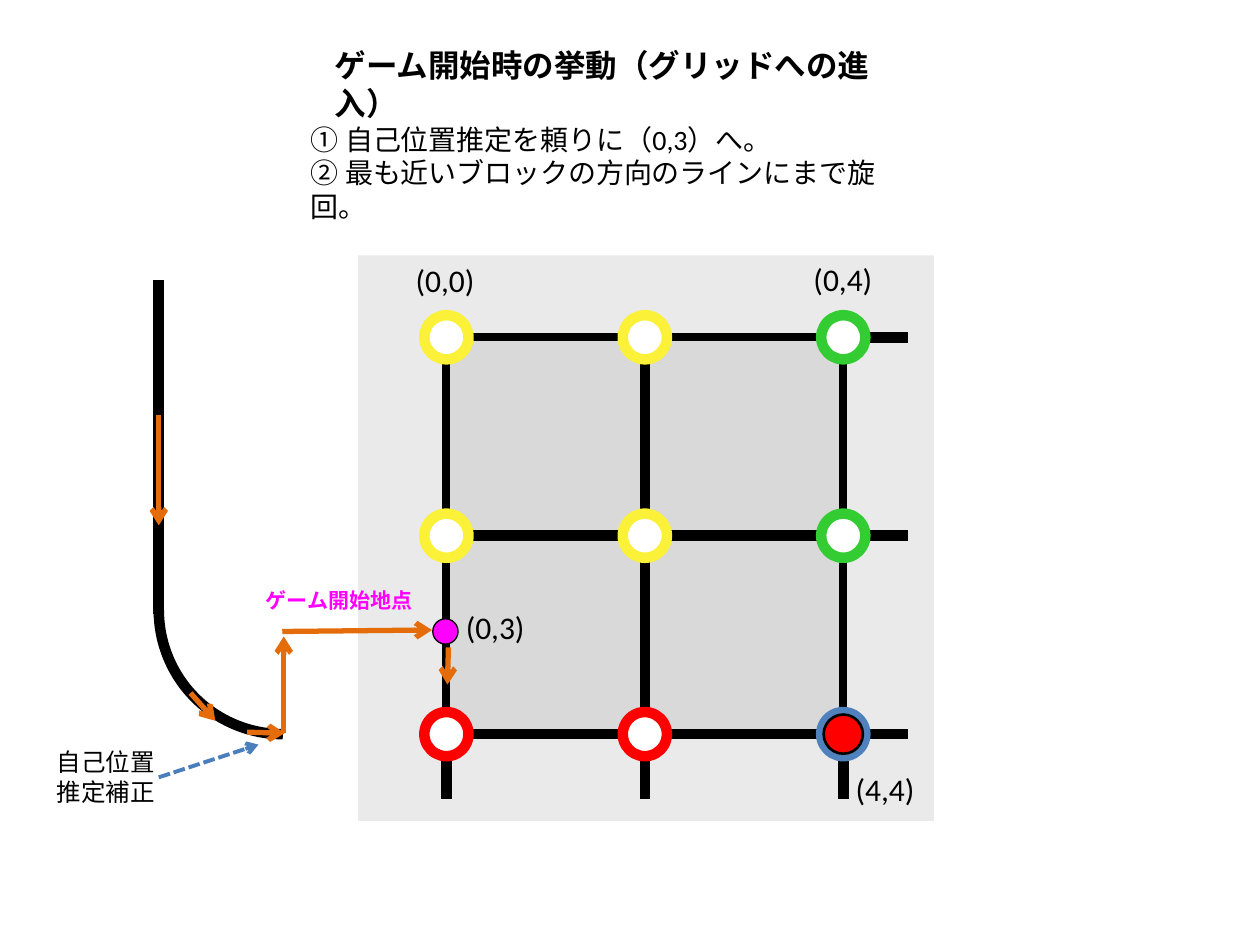
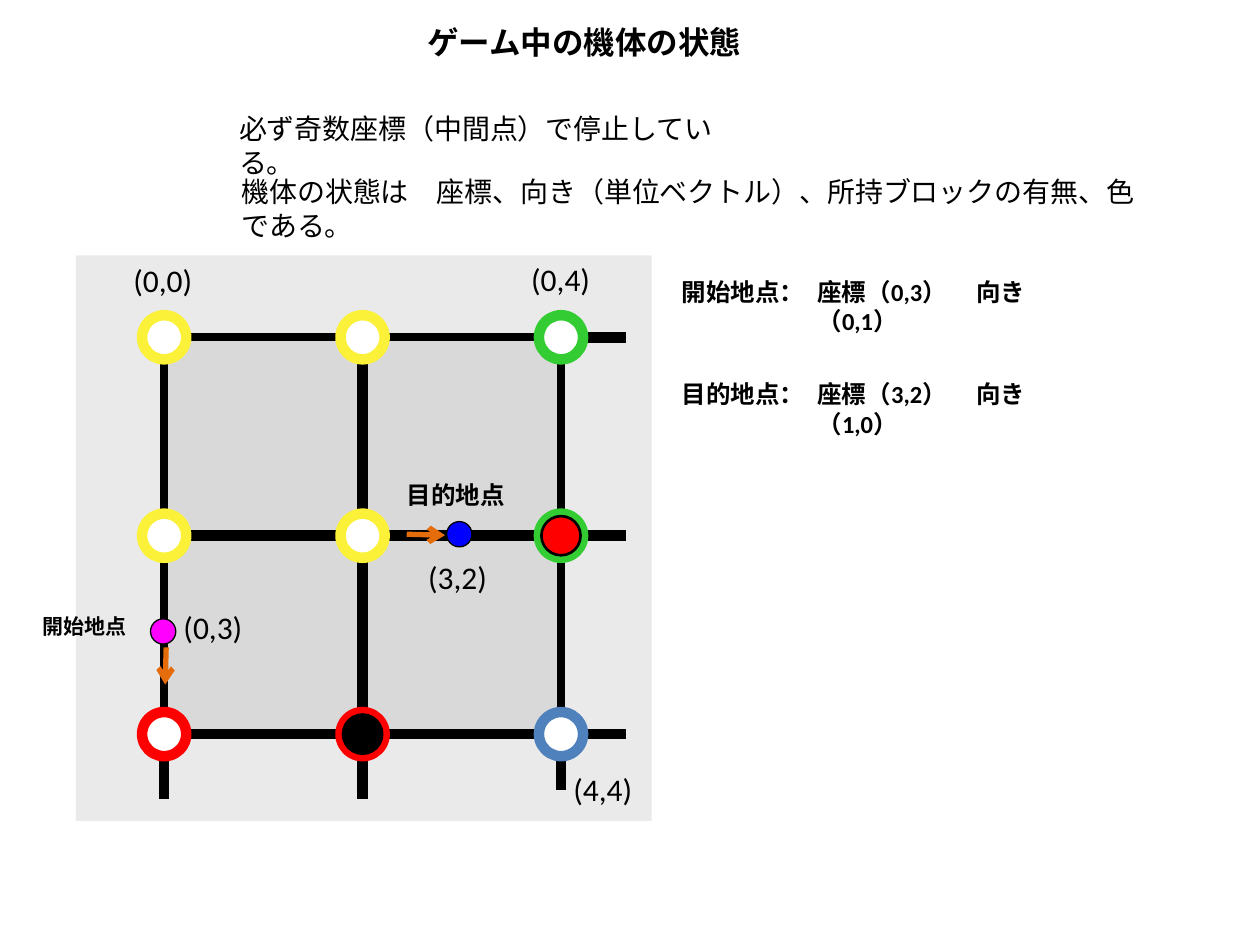
from dataclasses import dataclass
from typing import Any

from lxml.etree import SubElement as Sub
from pptx import Presentation
from pptx.dml.color import RGBColor as RGB
from pptx.enum.dml import MSO_LINE as Dash
from pptx.enum.shapes import MSO_CONNECTOR as Conn, MSO_SHAPE as Form
from pptx.enum.text import MSO_AUTO_SIZE as Fit
from pptx.oxml.ns import qn
from pptx.util import Cm, Pt

COLORS = {
    "black": "000000", "white": "FFFFFF", "panel": "EAEAEA", "field": "D9D9D9",
    "yellow": "FAF138", "green": "33CC33", "red": "FF0000", "blue": "4F81BD",
    "note": "4B7EBC", "orange": "E46C0A", "pink": "FF00FF", "goal": "0000FF",
}
FRAME = {"word_wrap": True, "auto_size": Fit.SHAPE_TO_FIT_TEXT}
STEP = 4.0      # distance between neighbouring nodes
TOP = 6.8       # height of the first grid row
REACH = 9.3     # how far the outer lines run from the grid's corner
HALF = 5.95     # a point midway between the second and third nodes
NODES = (
    ("yellow", "yellow", "green"),
    ("yellow", "yellow", "green"),
    ("red", "red", "blue"),
)


@dataclass
class Label:
    text: str
    x: float
    y: float
    w: float = 1.8
    size: int = 18
    bold: bool = False
    color: str = "black"
    tab: float = 0


@dataclass
class Line:
    x1: float
    y1: float
    x2: float
    y2: float
    color: str = "black"
    width: float = 6
    arrow: bool = False
    dash: Any = None


@dataclass
class Disc:
    """A circle given by its centre."""
    x: float
    y: float
    size: float
    fill: str
    edge: str
    width: float


def arrow(x1: float, y1: float, x2: float, y2: float) -> Line:
    return Line(x1, y1, x2, y2, "orange", 3, True)


def ring(x: float, y: float, edge: str) -> Disc:
    return Disc(x, y, 0.89, "white", edge, 6)


def block(x: float, y: float, fill: str) -> Disc:
    return Disc(x, y, 0.79, fill, "black", 1.5)


def point(x: float, y: float, fill: str) -> Disc:
    return Disc(x, y, 0.51, fill, "black", 0.75)


def tint(name: str) -> RGB:
    return RGB.from_string(COLORS[name])


def add_form(slide, kind, x: float, y: float, w: float, h: float,
             fill: str = "", edge: str = "", width: float = 0):
    shape = slide.shapes.add_shape(kind, Cm(x), Cm(y), Cm(w), Cm(h))
    shape.shadow.inherit = False
    for part, name in ((shape.fill, fill), (shape.line.fill, edge)):
        if name:
            part.solid()
            part.fore_color.rgb = tint(name)
        else:
            part.background()
    if edge:
        shape.line.width = Pt(width)
    return shape


def add_disc(slide, disc: Disc) -> None:
    r = disc.size / 2
    add_form(slide, Form.OVAL, disc.x - r, disc.y - r, disc.size, disc.size,
             disc.fill, disc.edge, disc.width)


def add_line(slide, line: Line):
    ends = [Cm(v) for v in (line.x1, line.y1, line.x2, line.y2)]
    link = slide.shapes.add_connector(Conn.STRAIGHT, *ends)
    link.line.color.rgb = tint(line.color)
    link.line.width = Pt(line.width)
    if line.dash:
        link.line.dash_style = line.dash
    if line.arrow:
        Sub(link.line._get_or_add_ln(), qn("a:tailEnd"), type="arrow")
    Sub(link._element.spPr, qn("a:effectLst"))
    return link


def add_label(slide, label: Label) -> None:
    box = slide.shapes.add_textbox(Cm(label.x), Cm(label.y), Cm(label.w), Cm(1))
    frame = box.text_frame
    for key, value in FRAME.items():
        setattr(frame, key, value)
    frame.text = label.text
    style = {"name": "Calibri", "size": Pt(label.size), "bold": label.bold}
    for para in frame.paragraphs:
        if label.tab:
            tabs = Sub(para._p.get_or_add_pPr(), qn("a:tabLst"))
            Sub(tabs, qn("a:tab"), pos=str(Cm(label.tab)), algn="l")
        for run in para.runs:
            for key, value in style.items():
                setattr(run.font, key, value)
            run.font.color.rgb = tint(label.color)


def add_grid(slide, left: float, stub: float, blocks: dict) -> None:
    """Draw the field with its nodes, start point and the blocks by (column, row)."""
    side = 2 * STEP
    far, low = left + side, TOP + side
    add_form(slide, Form.RECTANGLE, left - 1.78, TOP - 1.65, 11.61, 11.4, "panel")
    field = add_form(slide, Form.RECTANGLE, left, TOP, side, side,
                     "field", "black", 4.5)
    row = Line(left, TOP + STEP, left + REACH, TOP + STEP)
    col = Line(left + STEP, TOP, left + STEP, TOP + REACH)
    add_line(slide, row).begin_connect(field, 1)
    add_line(slide, col).begin_connect(field, 0)
    for line in (
        Line(left, low, left + REACH, low),
        Line(far, TOP, left + REACH, TOP),
        Line(left, low + 0.54, left, TOP + REACH),
        Line(far, low + 0.3, far, TOP + stub),
    ):
        add_line(slide, line)
    for j, names in enumerate(NODES):
        for i, name in enumerate(names):
            x, y = left + i * STEP, TOP + j * STEP
            add_disc(slide, ring(x, y, name))
            if (i, j) in blocks:
                add_disc(slide, block(x, y, blocks[i, j]))
    for text, x, y in (("(0,0)", -0.87, -1.67), ("(0,4)", 7.15, -1.68),
                       ("(0,3)", 0.14, 5.33), ("(4,4)", 8, 8.6)):
        add_label(slide, Label(text, left + x, TOP + y))
    add_line(slide, arrow(left + 0.04, TOP + 6.25, left + 0.02, TOP + 7))
    add_disc(slide, point(left - 0.02, TOP + HALF - 0.02, "pink"))


def add_entry(slide) -> None:
    """Draw how the robot enters the grid."""
    add_grid(slide, 9, REACH, {(2, 2): "red"})
    track = add_form(slide, Form.ARC, 3.2, 9.8, 5, 5, "", "black", 6)
    track.rotation = 180
    for line in (
        Line(3.2, 5.64, 3.2, 12.37),
        Line(3.2, 15.67, 5.21, 15.01, "note", 2.25, True, Dash.SQUARE_DOT),
        arrow(5.72, 14.78, 5.72, 12.83),
        arrow(4.98, 14.76, 5.74, 14.78),
        arrow(3.2, 8.36, 3.2, 10.59),
        arrow(3.84, 13.97, 4.34, 14.53),
        arrow(5.69, 12.73, 8.71, 12.7),
    ):
        add_line(slide, line)
    for label in (
        Label("ゲーム開始時の挙動（グリッドへの進入）", 6.5, 0.81, 11.43, bold=True),
        Label("① 自己位置推定を頼りに（0,3）へ。\n"
              "② 最も近いブロックの方向のラインにまで旋回。", 6.02, 2.34, 12.01, 16),
        Label("自己位置推定補正", 0.89, 14.94, 2.79, 14),
        Label("ゲーム開始地点", 5.11, 11.71, 3.6, 12, True, "pink"),
    ):
        add_label(slide, label)


def add_state(slide) -> None:
    """Draw the robot's state between moves."""
    left = 3.31
    add_grid(slide, left, 9.12, {(2, 1): "red", (1, 2): "black"})
    add_disc(slide, point(left + HALF, TOP + STEP - 0.03, "goal"))
    add_line(slide, arrow(8.2, 10.77, 8.97, 10.79))
    for label in (
        Label("ゲーム中の機体の状態", 8.36, 0.33, 7, bold=True),
        Label("必ず奇数座標（中間点）で停止している。", 4.57, 2.13, 10.24, 16),
        Label("機体の状態は　座標、向き（単位ベクトル）、所持ブロックの有無、色 である。",
              4.62, 3.4, 18.54, 16),
        Label("開始地点", 0.61, 12.24, 2.4, 12, True),
        Label("目的地点", 7.95, 9.55, 2.7, 14, True),
        Label("(3,2)", 8.38, 11.13),
    ):
        add_label(slide, label)
    for name, spot, way, y in (("開始地点：", "0,3", "0,1", 5.46),
                               ("目的地点：", "3,2", "1,0", 7.52)):
        add_label(slide, Label(name, 13.49, y, 2.77, 14, True))
        add_label(slide, Label(f"座標（{spot}）\t向き（{way}）", 16.23, y, 5.03, 14,
                               True, tab=3.2))


def main() -> None:
    deck = Presentation()
    deck.slide_width, deck.slide_height = Cm(25.4), Cm(19.05)
    for draw in (add_entry, add_state):
        draw(deck.slides.add_slide(deck.slide_layouts[6]))
    deck.save("out.pptx")


if __name__ == "__main__":
    main()
